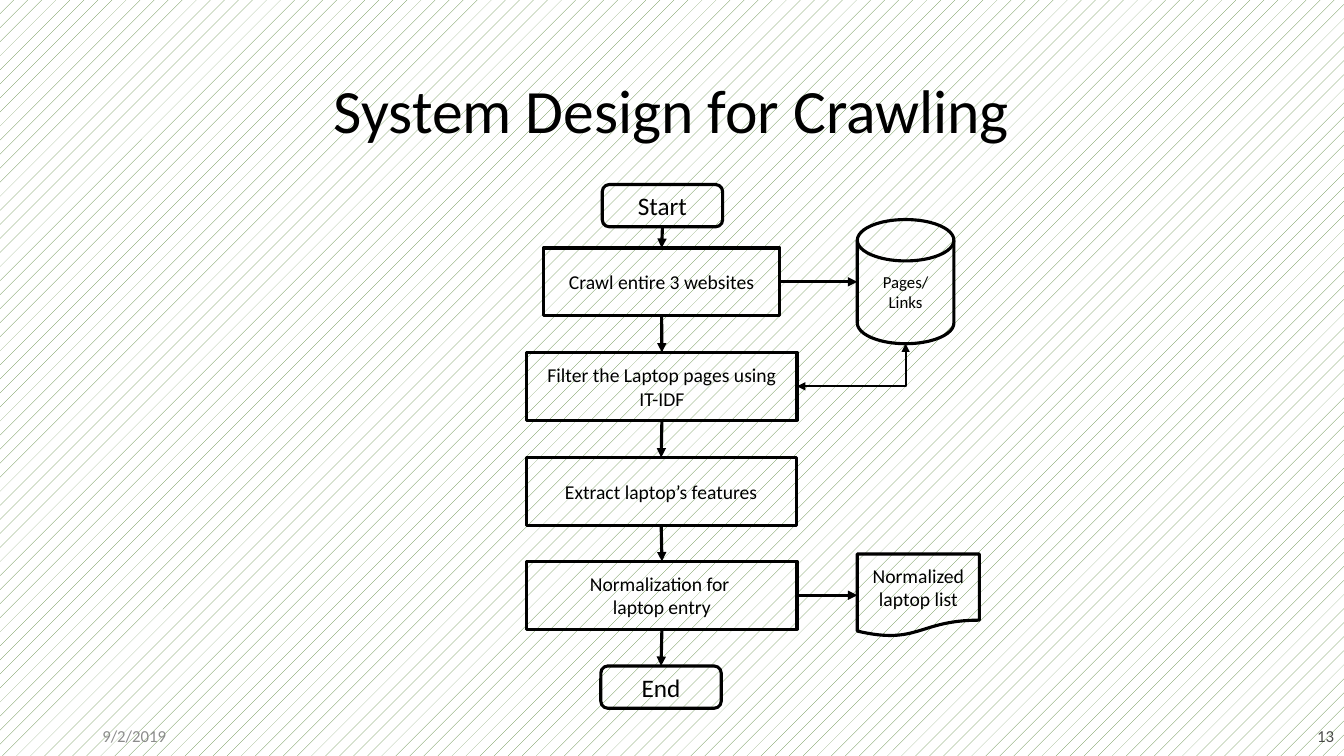
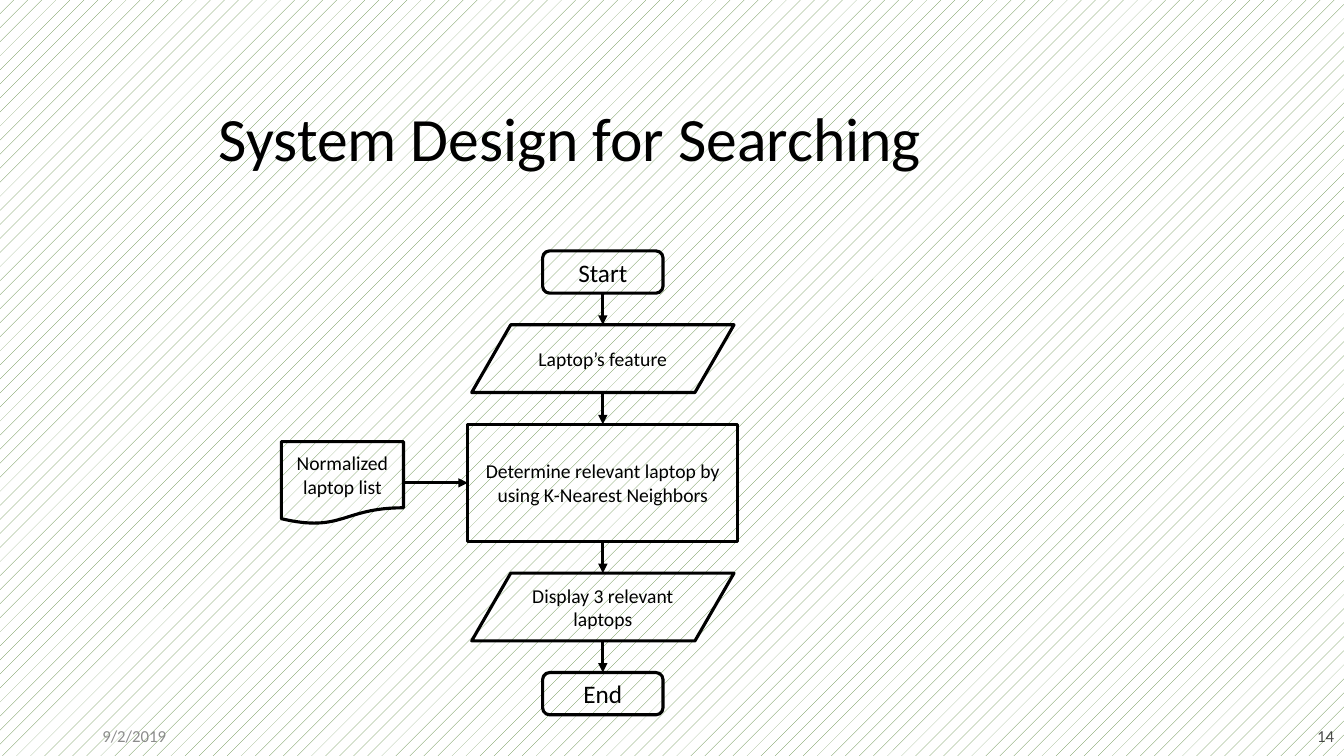
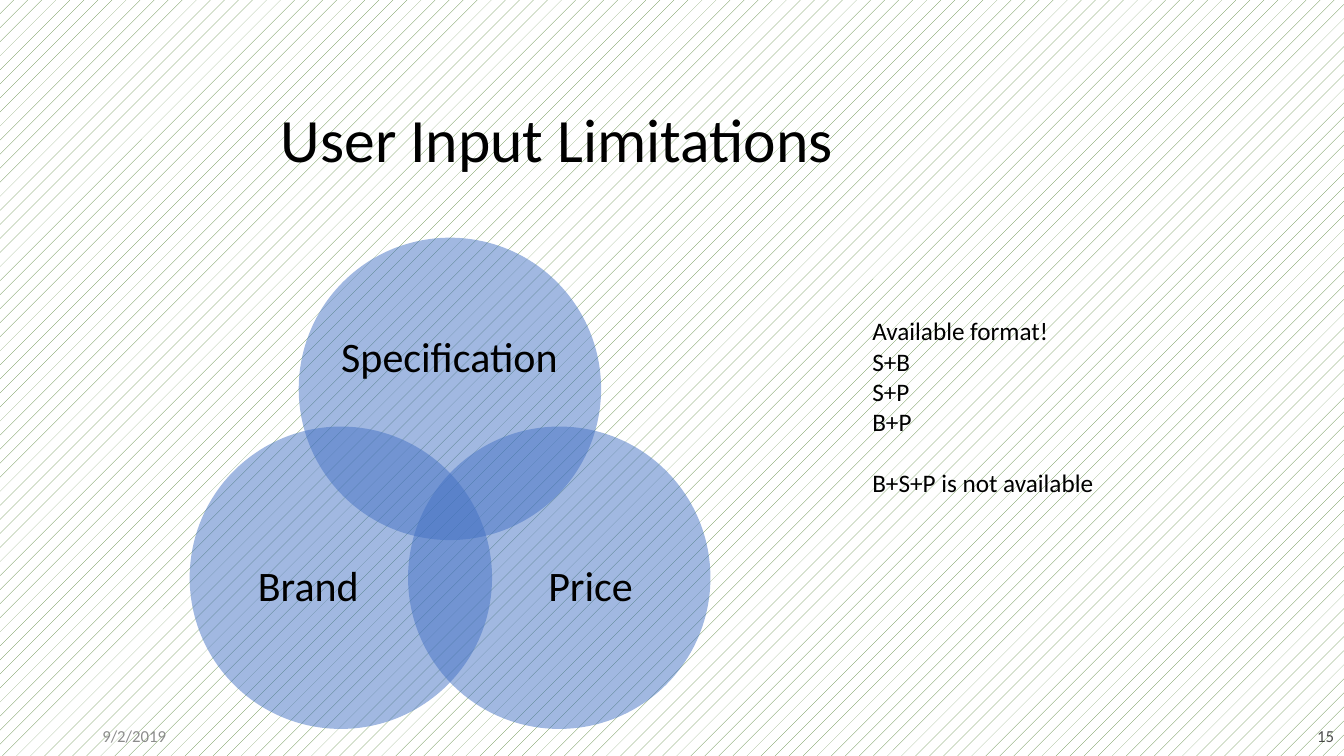
"""Builds three slides: two flowcharts and a Venn diagram on a shared pattern."""
from lxml import etree
from pptx import Presentation
from pptx.dml.color import RGBColor
from pptx.enum import dml, shapes, text
from pptx.oxml.ns import qn
from pptx.util import Pt

BLACK = RGBColor(0x00, 0x00, 0x00)
WHITE = RGBColor(0xFF, 0xFF, 0xFF)
GREEN = RGBColor(0x54, 0x82, 0x35)
BLUE = RGBColor(0x44, 0x72, 0xC4)
GREY = RGBColor(0x8C, 0x8C, 0x8C)
FONT = "Calibri"
KIND = shapes.MSO_SHAPE
LINE = shapes.MSO_CONNECTOR
LEFT, MID, RIGHT = text.PP_ALIGN.LEFT, text.PP_ALIGN.CENTER, text.PP_ALIGN.RIGHT
PILL, BOX, SLANT = KIND.FLOWCHART_ALTERNATE_PROCESS, KIND.RECTANGLE, KIND.PARALLELOGRAM
DOC, DISK = KIND.FLOWCHART_DOCUMENT, KIND.FLOWCHART_MAGNETIC_DISK
TOP, WEST, BASE, EAST = range(4)


def put(slide, kind, area, words="", size=14, align=MID, color=BLACK, fill=None, fade=None):
    """Adds a shape, or a text box when kind is None, one paragraph a line."""
    area = [Pt(n) for n in area]
    if kind is None:
        item = slide.shapes.add_textbox(*area)
    else:
        item = slide.shapes.add_shape(kind, *area)
        item.shadow.inherit = False
        if fill is None:
            item.fill.background()
            item.line.color.rgb = BLACK
            item.line.width = Pt(2.25)
        else:
            item.fill.solid()
            item.fill.fore_color.rgb = fill
            item.line.fill.background()
    frame = item.text_frame
    frame.word_wrap = True
    frame.vertical_anchor = text.MSO_ANCHOR.MIDDLE
    for i, words in enumerate(words.split("\n") if words else []):
        para = frame.add_paragraph() if i else frame.paragraphs[0]
        para.alignment = align
        run = para.add_run()
        run.text = words
        run.font.size = Pt(size)
        run.font.name = FONT
        run.font.color.rgb = color
    if fade:
        for tint in item._element.iter(qn("a:srgbClr")):
            etree.SubElement(tint, qn("a:alpha"), val=str(fade * 1000))
    return item


def link(slide, start, end, side=BASE, kind=LINE.STRAIGHT, width=2.25, ends=("tailEnd",)):
    """Draws an arrow from a side of one shape to the facing side of the next."""
    spots = []
    for item, edge in ((start, side), (end, (side + 2) % 4)):
        x, y = item.left + item.width // 2, item.top + item.height // 2
        if edge in (TOP, BASE):
            y = item.top + (item.height if edge == BASE else 0)
        else:
            x = item.left + (item.width if edge == EAST else 0)
        spots.append((x, y))
    (x1, y1), (x2, y2) = spots
    if kind == LINE.ELBOW:
        x2, y2 = end.left + end.width // 2, end.top + end.height
    elif side == EAST:
        y2 = y1
    wire = slide.shapes.add_connector(kind, x1, y1, x2, y2)
    if kind == LINE.STRAIGHT:
        if start.auto_shape_type not in (SLANT, DISK):
            wire.begin_connect(start, side)
        if end.auto_shape_type not in (SLANT, DISK):
            wire.end_connect(end, (side + 2) % 4)
    else:
        wire._element.spPr.find(qn("a:prstGeom")).set("prst", "bentConnector2")
    wire.line.color.rgb = BLACK
    wire.line.width = Pt(width)
    for tip in ends:
        etree.SubElement(wire.line._get_or_add_ln(), qn("a:" + tip), type="triangle")
    etree.SubElement(wire._element.spPr, qn("a:effectLst"))


deck = Presentation()
deck.slide_width, deck.slide_height = Pt(960), Pt(540)

pages = []
heads = [
    ("System Design for Crawling", (66, 28.8, 828, 104.4)),
    ("System Design for Searching", (20.9, 58.3, 773.3, 85)),
    ("User Input Limitations", (7.9, 59, 780.5, 85)),
]
for num, (words, area) in enumerate(heads, 13):
    page = deck.slides.add_slide(deck.slide_layouts[6])
    back = page.background.fill
    back.patterned()
    back.pattern = dml.MSO_PATTERN.PERCENT_5
    back.fore_color.rgb = GREEN
    back.back_color.rgb = WHITE
    title = put(page, None, area, words, 44)
    title.text_frame.paragraphs[0].line_spacing = 0.9
    put(page, None, (744, 511.2, 216, 28.8), str(num), 12, RIGHT, fade=70)
    put(page, None, (66, 511.2, 216, 28.8), "9/2/2019", 12, LEFT, GREY)
    pages.append(page)
crawl, search, venn = pages

flows = [
    (crawl, [
        (PILL, "Start", 473.2, 131.8, 86, 30.2),
        (BOX, "Crawl entire 3 websites", 472.6, 177.1, 169, 48.4),
        (BOX, "Filter the Laptop pages using IT-IDF", 472.8, 251.8, 193, 48.4),
        (BOX, "Extract laptop’s features", 472.3, 326.8, 193, 48.4),
        (BOX, "Normalization for \nlaptop entry", 472.8, 401, 193, 48.4),
        (PILL, "End", 472.2, 475.7, 86, 30.2),
    ]),
    (search, [
        (PILL, "Start", 430.6, 179.2, 86, 30.2),
        (SLANT, "Laptop’s feature", 430.6, 232, 187.4, 48.4),
        (BOX, "Determine relevant laptop by using K-Nearest Neighbors", 430.6, 303, 193, 83.8),
        (SLANT, "Display 3 relevant laptops", 430.6, 409.4, 187.4, 48.4),
        (PILL, "End", 430.6, 480.4, 86, 30.2),
    ]),
]
steps = []
for page, rows in flows:
    chain = []
    for kind, words, mid, top, wide, high in rows:
        size = 18 if kind == PILL else 14
        step = put(page, kind, (mid - wide / 2, top, wide, high), words, size)
        if kind == SLANT:
            step.adjustments[0] = 0.577
        if chain:
            link(page, chain[-1], step)
        chain.append(step)
    steps.append(chain)

store = put(crawl, DISK, (612.4, 156.8, 69, 88.7), "Pages/\nLinks", 12)
link(crawl, steps[0][1], store, EAST)
link(crawl, steps[0][2], store, EAST, LINE.ELBOW, 1.5, ("headEnd", "tailEnd"))
for page, left, top in ((crawl, 612.4, 395.7), (search, 201, 315.4)):
    sheet = put(page, DOC, (left, top, 87.2, 59), "Normalized laptop list")
    if page is crawl:
        link(page, steps[0][4], sheet, EAST)
    else:
        link(page, sheet, steps[1][2], EAST)

rings = [
    ("Specification", (213.4, 169.8), (241.9, 207.4, 158.4, 97.2)),
    ("Price", (291.5, 304.7), (357.1, 360.7, 129.6, 118.8)),
    ("Brand", (135.5, 304.7), (155.5, 360.7, 129.6, 118.8)),
]
for words, spot, area in rings:
    put(venn, KIND.OVAL, (*spot, 216, 216), fill=BLUE, fade=50)
    frame = put(venn, None, area, words, 30).text_frame
    frame.margin_left = frame.margin_right = frame.margin_top = frame.margin_bottom = 0
    frame.paragraphs[0].line_spacing = 0.9

notice = "Available format!\nS+B\nS+P\nB+P\nB+S+P is not available"
frame = put(venn, None, (616, 222, 191.5, 138.2), notice, 18, LEFT).text_frame
frame.vertical_anchor = text.MSO_ANCHOR.TOP
frame.paragraphs[-1].space_before = Pt(22)

deck.save("out.pptx")
